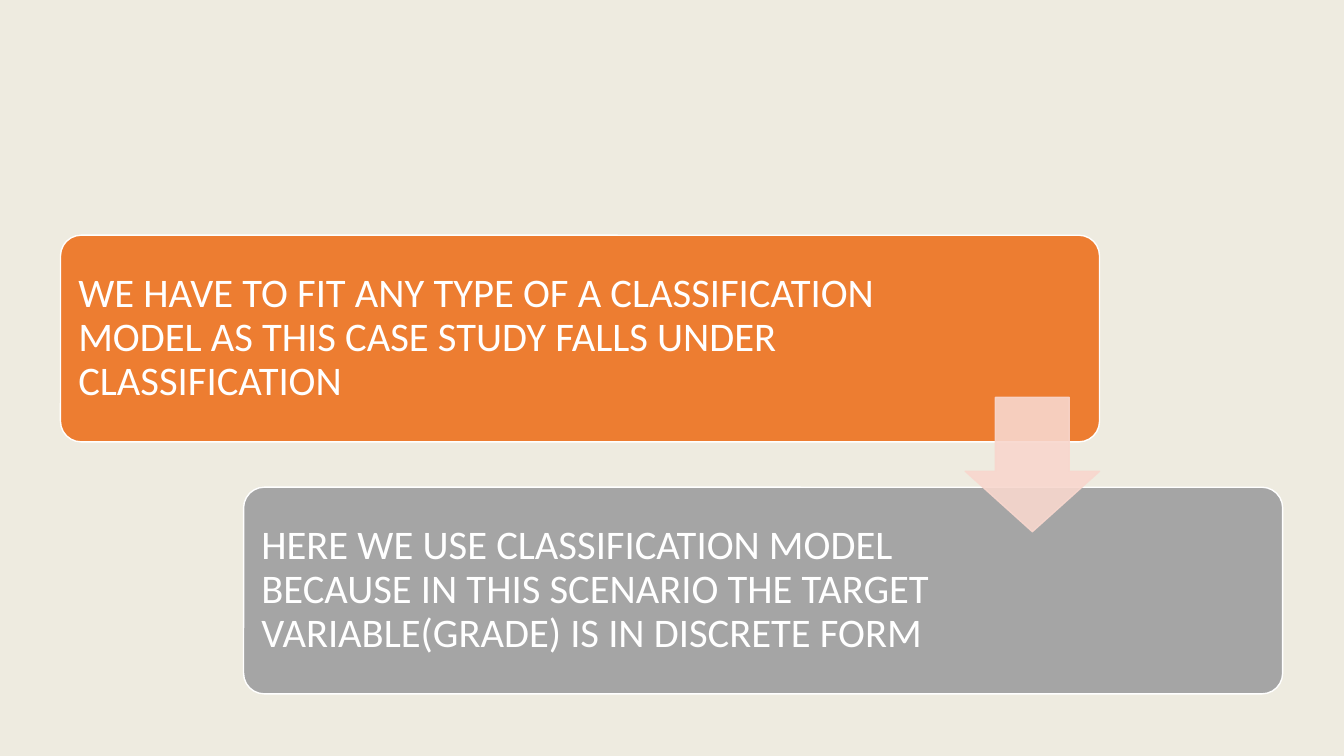
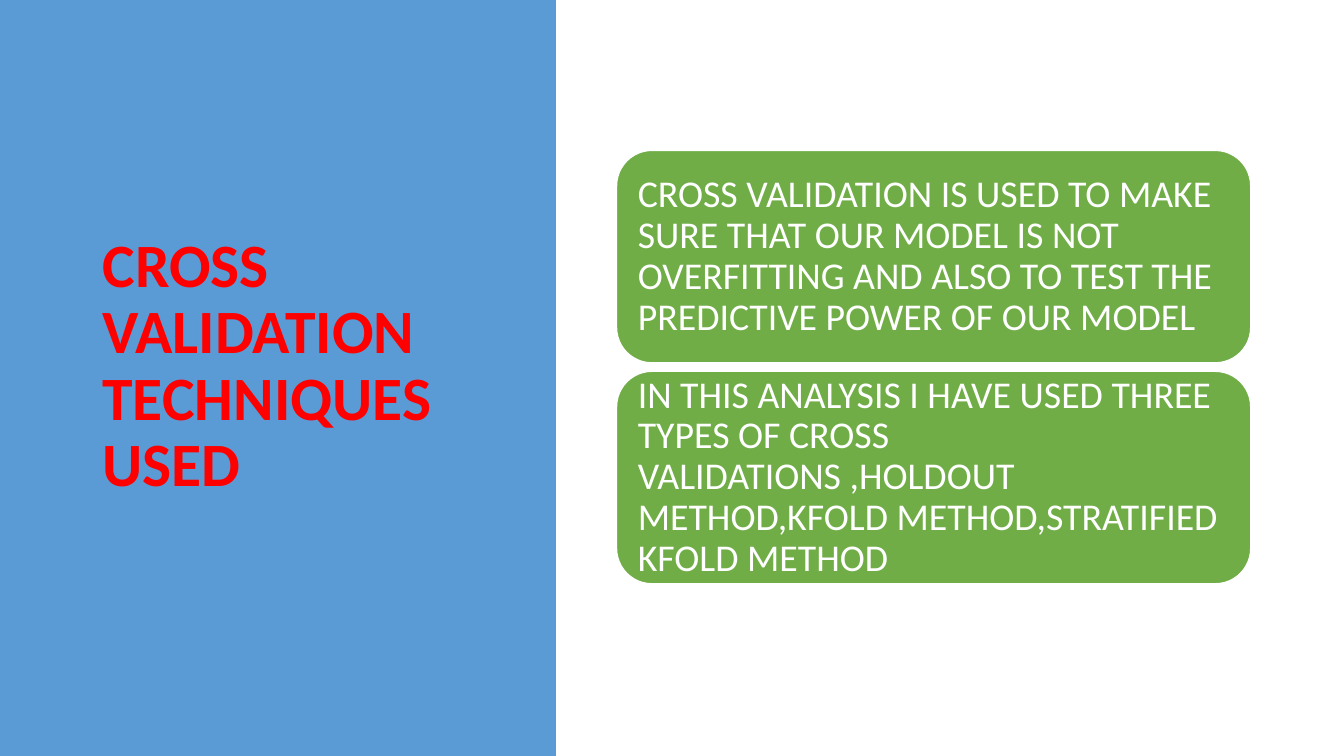
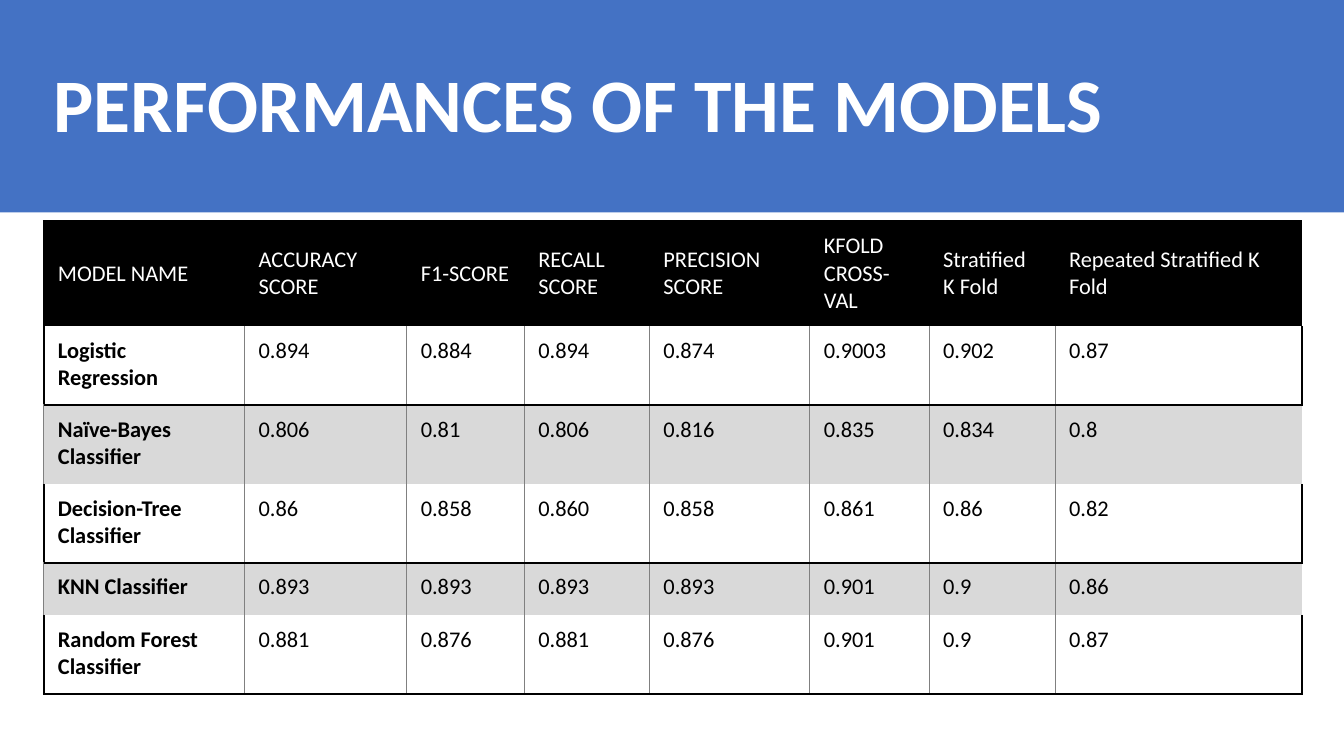
from lxml import etree
from pptx import Presentation
from pptx.dml.color import RGBColor
from pptx.enum.shapes import MSO_SHAPE
from pptx.enum.text import MSO_ANCHOR, MSO_AUTO_SIZE, PP_ALIGN
from pptx.oxml.ns import qn
from pptx.util import Pt

RECT = MSO_SHAPE.RECTANGLE
ROUNDED = MSO_SHAPE.ROUNDED_RECTANGLE
DOWN_ARROW = MSO_SHAPE.DOWN_ARROW
LEFT = PP_ALIGN.LEFT
TOP, MIDDLE = MSO_ANCHOR.TOP, MSO_ANCHOR.MIDDLE
NO_AUTOFIT = MSO_AUTO_SIZE.NONE

PX = 7620  # EMU in one px, 120 px to the inch
SLIDE_W, SLIDE_H = 1600, 900
TITLE_ONLY, BLANK = 5, 6
FONT = "Calibri"

WHITE = RGBColor(0xFF, 0xFF, 0xFF)
BLACK = RGBColor(0x00, 0x00, 0x00)
RED = RGBColor(0xFF, 0x00, 0x00)
PALE_GRAY = RGBColor(0xF2, 0xF2, 0xF2)
BAND_GRAY = RGBColor(0xD9, 0xD9, 0xD9)
RULE_GRAY = RGBColor(0x80, 0x80, 0x80)
GRAY = RGBColor(0xA5, 0xA5, 0xA5)
GOLD = RGBColor(0xBF, 0x90, 0x00)
ORANGE = RGBColor(0xED, 0x7D, 0x31)
PINK = RGBColor(0xF8, 0xD7, 0xCE)
GREEN = RGBColor(0x70, 0xAD, 0x47)
SKY = RGBColor(0x5B, 0x9B, 0xD5)
BLUE = RGBColor(0x44, 0x72, 0xC4)

# (text, fill, right inset)
MODEL_STEPS = [
    ("WE HAVE TO FIT ANY TYPE OF A CLASSIFICATION MODEL AS THIS CASE STUDY "
     "FALLS UNDER CLASSIFICATION", ORANGE, 253),
    ("HERE WE USE CLASSIFICATION MODEL BECAUSE IN THIS SCENARIO THE TARGET "
     "VARIABLE(GRADE) IS IN DISCRETE FORM", GRAY, 392),
]

VALIDATION_TITLE = "CROSS VALIDATION TECHNIQUES USED"
VALIDATION_NOTES = [
    "CROSS VALIDATION IS USED TO MAKE SURE THAT OUR MODEL IS NOT OVERFITTING "
    "AND ALSO TO TEST THE PREDICTIVE POWER OF OUR MODEL",
    "IN THIS ANALYSIS I HAVE USED THREE TYPES OF CROSS VALIDATIONS ,HOLDOUT "
    "METHOD,KFOLD METHOD,STRATIFIED KFOLD METHOD",
]

SCORES_TITLE = "PERFORMANCES OF THE MODELS"
SCORES = [
    ("MODEL NAME", "ACCURACY\nSCORE", "F1-SCORE", "RECALL\nSCORE", "PRECISION SCORE",
     "KFOLD\nCROSS-VAL", "Stratified\nK Fold", "Repeated Stratified K Fold"),
    ("Logistic\nRegression", "0.894", "0.884", "0.894", "0.874", "0.9003", "0.902", "0.87"),
    ("Naïve-Bayes\nClassifier", "0.806", "0.81", "0.806", "0.816", "0.835", "0.834", "0.8"),
    ("Decision-Tree Classifier", "0.86", "0.858", "0.860", "0.858", "0.861", "0.86", "0.82"),
    ("KNN Classifier", "0.893", "0.893", "0.893", "0.893", "0.901", "0.9", "0.86"),
    ("Random Forest Classifier", "0.881", "0.876", "0.881", "0.876", "0.901", "0.9", "0.87"),
]
COLUMN_WIDTHS = [239, 193, 140, 149, 191, 142, 150, 294]
ROW_HEIGHTS = [125, 94, 94, 94, 62, 94]
CELL_INSETS = (17, 13, 12, 13)

THICK = (BLACK, 1.5)
THIN = (RULE_GRAY, 0.5)


def emu(lengths):
    return [length * PX for length in lengths]


def write(frame, text, size, color, bold=False, spacing=0.9):
    """Fill a text frame, one paragraph for each line of text."""
    for i, line in enumerate(text.split("\n")):
        paragraph = frame.add_paragraph() if i else frame.paragraphs[0]
        paragraph.alignment = LEFT
        paragraph.line_spacing = spacing
        run = paragraph.add_run()
        run.text = line
        run.font.name = FONT
        run.font.size = Pt(size)
        run.font.bold = bold
        run.font.color.rgb = color


def set_insets(target, insets):
    (target.margin_left, target.margin_top,
     target.margin_right, target.margin_bottom) = emu(insets)


def add_block(slide, kind, box, fill, outline=None, opacity=100):
    block = slide.shapes.add_shape(kind, *emu(box))
    block.shadow.inherit = False
    block.fill.solid()
    block.fill.fore_color.rgb = fill
    if outline is None:
        block.line.fill.background()
    else:
        block.line.color.rgb = outline
        block.line.width = Pt(1)
    if opacity < 100:
        for color in list(block._element.spPr.iter(qn("a:srgbClr"))):
            etree.SubElement(color, qn("a:alpha"), val=str(opacity * 1000))
    return block


def add_card(slide, box, fill, text, size, insets):
    card = add_block(slide, ROUNDED, box, fill, WHITE)
    frame = card.text_frame
    frame.word_wrap = True
    frame.vertical_anchor = MIDDLE
    set_insets(frame, insets)
    write(frame, text, size, WHITE)
    return card


def set_title(slide, box, text, size, color):
    title = slide.shapes.title
    title.left, title.top, title.width, title.height = emu(box)
    frame = title.text_frame
    frame.word_wrap = True
    frame.auto_size = NO_AUTOFIT
    frame.vertical_anchor = MIDDLE
    write(frame, text, size, color, bold=True)


def set_borders(cell, borders):
    """Draw the named sides and clear the others; call before the cell's fill."""
    properties = cell._tc.get_or_add_tcPr()
    for side in "LRTB":
        edge = etree.SubElement(properties, qn("a:ln" + side))
        if side in borders:
            color, width = borders[side]
            edge.set("w", str(Pt(width)))
            fill = etree.SubElement(edge, qn("a:solidFill"))
            etree.SubElement(fill, qn("a:srgbClr"), val=str(color))
        else:
            etree.SubElement(edge, qn("a:noFill"))


def cell_borders(row, first, last):
    if row == 0:
        borders = {"L": THICK, "T": THICK, "R": THICK}
    elif row % 2:
        return {"L": THICK if first else THIN, "R": THICK if last else THIN, "B": THICK}
    else:
        borders = {"L": THIN, "T": THICK, "R": THIN}
    if last:
        del borders["R"]
    return borders


def build_model_choice(prs):
    slide = prs.slides.add_slide(prs.slide_layouts[BLANK])
    full = (0, 0, SLIDE_W, SLIDE_H)
    add_block(slide, RECT, full, PALE_GRAY)
    add_block(slide, RECT, full, GOLD, opacity=7)
    for i, (text, fill, right_inset) in enumerate(MODEL_STEPS):
        box = (72 + 218 * i, 280 + 300 * i, 1237, 246)
        card = add_card(slide, box, fill, text, 29, (14, 14, right_inset, 14))
        card.adjustments[0] = 0.1
    arrow = add_block(slide, DOWN_ARROW, (1149, 473, 160, 160), PINK, PINK, opacity=90)
    arrow.adjustments[0] = 0.55
    arrow.adjustments[1] = 0.45


def build_validation(prs):
    slide = prs.slides.add_slide(prs.slide_layouts[TITLE_ONLY])
    panel = add_block(slide, RECT, (0, 0, 662, SLIDE_H), SKY)
    slide.shapes.title._element.addprevious(panel._element)
    set_title(slide, (110, 82, 494, 710), VALIDATION_TITLE, 44, RED)
    for i, note in enumerate(VALIDATION_NOTES):
        add_card(slide, (734, 179 + 263 * i, 755, 253), GREEN, note, 27, (13,) * 4)


def build_scores(prs):
    slide = prs.slides.add_slide(prs.slide_layouts[TITLE_ONLY])
    band = add_block(slide, RECT, (0, 0, SLIDE_W, 253), BLUE)
    slide.shapes.title._element.addprevious(band._element)
    set_title(slide, (52, 42, 1498, 174), SCORES_TITLE, 54, WHITE)

    box = (52, 263, sum(COLUMN_WIDTHS), sum(ROW_HEIGHTS))
    table = slide.shapes.add_table(len(SCORES), len(COLUMN_WIDTHS), *emu(box)).table
    table.horz_banding = False
    for column, width in zip(table.columns, emu(COLUMN_WIDTHS)):
        column.width = width
    for row, height in zip(table.rows, emu(ROW_HEIGHTS)):
        row.height = height

    for r, values in enumerate(SCORES):
        header = r == 0
        for c, value in enumerate(values):
            cell = table.cell(r, c)
            set_insets(cell, CELL_INSETS)
            cell.vertical_anchor = MIDDLE if header else TOP
            set_borders(cell, cell_borders(r, c == 0, c == len(values) - 1))
            if r % 2:
                cell.fill.background()
            else:
                cell.fill.solid()
                cell.fill.fore_color.rgb = BLACK if header else BAND_GRAY
            write(cell.text_frame, value, 16, WHITE if header else BLACK,
                  bold=c == 0 and not header, spacing=1.0)


def main():
    prs = Presentation()
    prs.slide_width, prs.slide_height = emu((SLIDE_W, SLIDE_H))
    build_model_choice(prs)
    build_validation(prs)
    build_scores(prs)
    prs.save("out.pptx")


if __name__ == "__main__":
    main()
